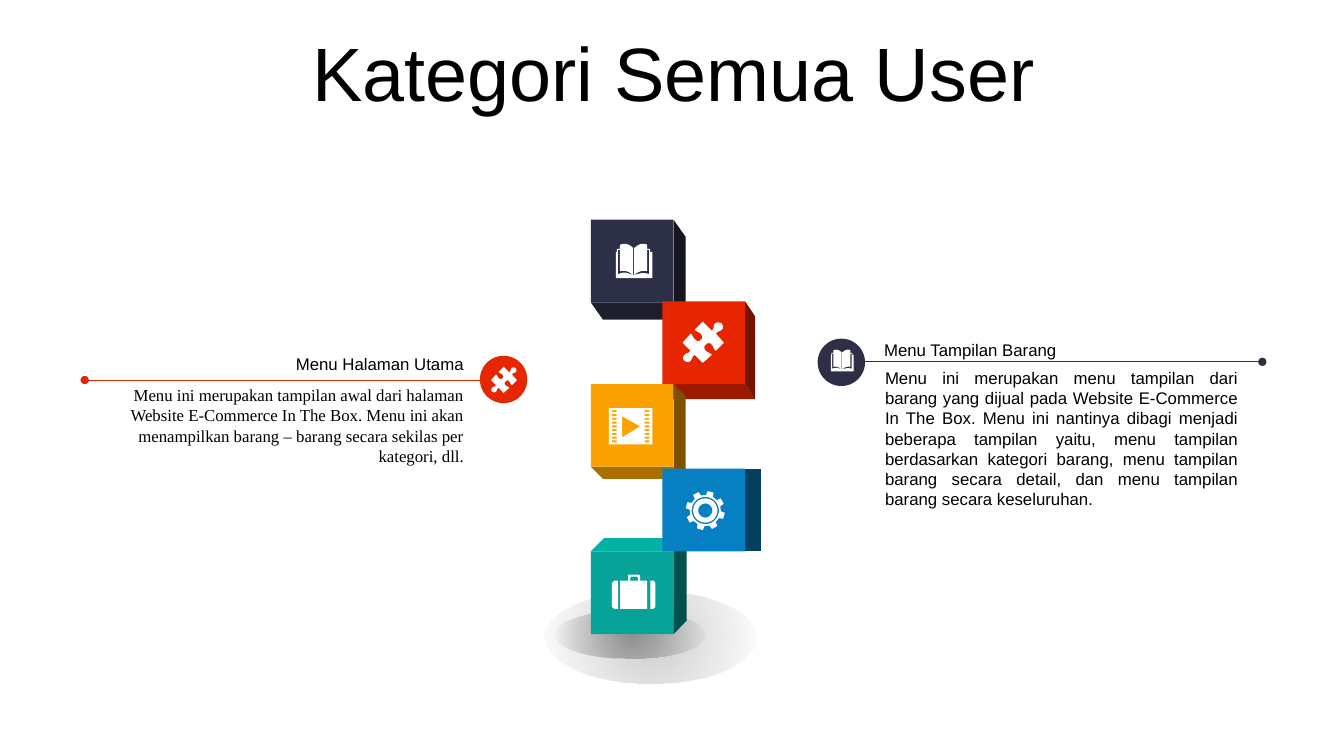
import math
from dataclasses import dataclass

from lxml import etree
from pptx import Presentation
from pptx.dml.color import RGBColor
from pptx.enum import shapes, text
from pptx.oxml import ns, parse_xml
from pptx.util import Inches, Pt

BLACK = RGBColor(0x00, 0x00, 0x00)
WHITE = RGBColor(0xFF, 0xFF, 0xFF)
NAVY = RGBColor(0x2C, 0x2F, 0x45)
NAVY_SIDE = RGBColor(0x15, 0x16, 0x1F)
NAVY_BASE = RGBColor(0x1D, 0x1F, 0x2D)
RED = RGBColor(0xE6, 0x26, 0x01)
RED_SIDE = RGBColor(0x73, 0x13, 0x00)
RED_BASE = RGBColor(0x9B, 0x1A, 0x00)
ORANGE = RGBColor(0xFB, 0xA2, 0x00)
ORANGE_SIDE = RGBColor(0x7D, 0x51, 0x00)
ORANGE_BASE = RGBColor(0xA9, 0x70, 0x00)
BLUE = RGBColor(0x06, 0x80, 0xC3)
BLUE_SIDE = RGBColor(0x03, 0x40, 0x61)
TEAL = RGBColor(0x07, 0xA3, 0x98)
TEAL_SIDE = RGBColor(0x03, 0x51, 0x4C)
TEAL_TOP = RGBColor(0x05, 0xB0, 0xA4)

CUBE_SIZE = 0.82
BADGE_SIZE = 0.47
BADGE_ICON_SCALE = 0.63

Point = tuple[float, float]
Contour = list[Point]


@dataclass
class Cube:
    left: float
    top: float
    depth_x: float
    depth_y: float
    front: RGBColor
    side: RGBColor
    base: RGBColor
    icon: list[Contour]
    icon_left: float
    icon_top: float


@dataclass
class Entry:
    badge_left: float
    badge_top: float
    color: RGBColor
    icon: list[Contour]
    icon_left: float
    icon_top: float
    line_start: float
    line_end: float
    line_y: float
    heading: str
    heading_left: float
    heading_top: float
    body: str
    body_left: float
    body_top: float
    body_height: float
    body_font: str
    heading_align: text.PP_ALIGN
    body_align: text.PP_ALIGN


# Icon outlines, in hundredths of an inch
def trace(commands: str) -> list[Contour]:
    """Turn M, L and C commands into contours, with curves cut into short lines."""
    contours: list[Contour] = []
    for part in commands.replace("M", "|M").replace("L", "|L").replace("C", "|C").split("|")[1:]:
        numbers = [float(number) for number in part[1:].split()]
        points = list(zip(numbers[::2], numbers[1::2]))
        if part[0] == "M":
            contours.append(points)
        elif part[0] == "L":
            contours[-1].extend(points)
        else:
            bend = [contours[-1][-1], *points]
            for step in range(1, 7):
                t = step / 6
                weights = [math.comb(3, k) * t**k * (1 - t) ** (3 - k) for k in range(4)]
                contours[-1].append(tuple(sum(w * p[axis] for w, p in zip(weights, bend))
                                          for axis in (0, 1)))
    return contours


def box_contour(left: float, top: float, width: float, height: float) -> Contour:
    return [(left, top), (left + width, top), (left + width, top + height), (left, top + height)]


def polar(radius: float, degrees: float) -> Point:
    angle = math.radians(degrees)
    return 19.5 + radius * math.cos(angle), 19.5 + radius * math.sin(angle)


PUZZLE = trace(
    "M39 2 C40 4 41 6 39 8 C37 10 35 9 33 12 L41 21 33 29 C30 27 31 24 28 22 "
    "C27 21 24 21 23 23 C21 24 21 27 23 29 C25 31 26 30 29 33 L20 41 12 33 "
    "C9 35 10 36 8 39 C6 41 3 40 2 39 C0 37 0 35 2 33 C3 31 6 32 8 29 L0 21 8 12 "
    "C11 14 10 17 13 18 C14 20 17 20 18 18 C20 17 20 14 18 12 C16 10 15 11 12 8 "
    "L20 0 29 9 C32 6 30 5 32 2 C35 0 37 1 39 2")
BOOK = trace(
    "M17 31 L18 31 C24 29 27 28 33 30 L33 6 31 6 31 27 C27 26 22 27 18 31 L18 4 "
    "C21 2 23 0 26 0 C28 0 30 0 31 1 L31 5 34 5 34 8 36 8 36 34 0 34 0 8 1 8 1 5 4 5 4 1 "
    "C6 0 7 0 9 0 C12 0 15 2 17 4 L17 31 C13 27 8 26 4 27 L4 6 2 6 2 30 C8 27 12 29 17 31")
BRIEFCASE = trace(
    "M38 6 L40 6 C42 6 43 8 43 9 L43 31 C43 33 42 34 40 34 L38 34 "
    "M3 6 L6 6 6 34 3 34 C2 34 0 33 0 31 L0 9 C0 8 2 6 3 6 "
    "M19 2 C19 2 18 3 18 4 L18 6 26 6 26 4 C26 3 25 2 24 2 "
    "M17 0 L26 0 C27 0 28 1 28 2 L28 6 35 6 35 34 8 34 8 6 16 6 16 2 C16 1 16 0 17 0")
FILM = [box_contour(0, 0, 43, 36), [(13, 8), (13, 29), (31, 18)]]
FILM += [box_contour(x, 2 + 3.75 * row, 4.5, 2) for x in (3, 35.5) for row in range(9)]
GEAR = [[polar(radius, 16 + 45 * tooth + turn) for tooth in range(8)
         for radius, turn in ((15.5, -13), (19.5, -9), (19.5, 9), (15.5, 13))]]
GEAR += [[polar(radius, 10 * step) for step in range(36)] for radius in (13.5, 12, 7)]

CUBES = [
    Cube(5.86, 2.18, 0.12, 0.17, NAVY, NAVY_SIDE, NAVY_BASE, BOOK, 6.11, 2.42),
    Cube(6.57, 2.99, 0.10, 0.15, RED, RED_SIDE, RED_BASE, PUZZLE, 6.77, 3.19),
    Cube(5.86, 3.81, 0.12, 0.12, ORANGE, ORANGE_SIDE, ORANGE_BASE, FILM, 6.04, 4.05),
    Cube(5.86, 5.47, 0.13, -0.13, TEAL, TEAL_SIDE, TEAL_TOP, BRIEFCASE, 6.07, 5.70),
    Cube(6.57, 4.65, 0.16, 0, BLUE, BLUE_SIDE, BLUE_SIDE, GEAR, 6.80, 4.87),
]
ENTRIES = [
    Entry(8.11, 3.36, NAVY, BOOK, 8.24, 3.47, 8.58, 12.52, 3.59,
          "Menu Tampilan Barang", 8.67, 3.32,
          "Menu ini merupakan menu tampilan dari barang yang dijual pada Website E-Commerce "
          "In The Box. Menu ini nantinya dibagi menjadi beberapa tampilan yaitu, menu tampilan "
          "berdasarkan kategori barang, menu tampilan barang secara detail, dan menu tampilan "
          "barang secara keseluruhan.",
          8.68, 3.6, 1.51, "Arial", text.PP_ALIGN.LEFT, text.PP_ALIGN.JUSTIFY),
    Entry(4.76, 3.53, RED, PUZZLE, 4.87, 3.64, 4.78, 0.84, 3.77,
          "Menu Halaman Utama", 1, 3.46,
          "Menu ini merupakan tampilan awal dari halaman Website E-Commerce In The Box. Menu ini "
          "akan menampilkan barang – barang secara sekilas per kategori, dll.",
          1, 3.77, 0.91, "Times New Roman", text.PP_ALIGN.RIGHT, text.PP_ALIGN.RIGHT),
]


def paint(shape, color: RGBColor) -> None:
    shape.shadow.inherit = False
    shape.fill.solid()
    shape.fill.fore_color.rgb = color
    shape.line.fill.background()


def draw_shape(page, kind, left: float, top: float, width: float, height: float, color: RGBColor):
    shape = page.shapes.add_shape(kind, Inches(left), Inches(top), Inches(width), Inches(height))
    paint(shape, color)
    return shape


def draw_outline(page, contours: list[Contour], color: RGBColor,
                 left: float = 0, top: float = 0, scale: float = 1) -> None:
    placed = [[(Inches(left + x * scale), Inches(top + y * scale)) for x, y in contour]
              for contour in contours]
    builder = page.shapes.build_freeform(*placed[0][0])
    for index, contour in enumerate(placed):
        if index:
            builder.move_to(*contour[0])
        builder.add_line_segments(contour[1:], close=True)
    paint(builder.convert_to_shape(), color)


def draw_glow(page, left: float, top: float, width: float, height: float, opacity: int) -> None:
    glow = draw_shape(page, shapes.MSO_SHAPE.OVAL, left, top, width, height, BLACK)
    stops = "".join(
        f'<a:gs pos="{pos}000"><a:srgbClr val="808080"><a:alpha val="{alpha}000"/></a:srgbClr></a:gs>'
        for pos, alpha in ((0, opacity), (100, 0)))
    gradient = parse_xml(
        f'<a:gradFill {ns.nsdecls("a")} rotWithShape="1"><a:gsLst>{stops}</a:gsLst><a:path path="circle">'
        '<a:fillToRect l="50000" t="50000" r="50000" b="50000"/></a:path></a:gradFill>')
    properties = glow.element.spPr
    properties.replace(properties.find(ns.qn("a:solidFill")), gradient)


def draw_cube(page, cube: Cube) -> None:
    right, bottom = cube.left + CUBE_SIZE, cube.top + CUBE_SIZE
    dx, dy = cube.depth_x, cube.depth_y
    if dy:
        edge = bottom if dy > 0 else cube.top
        draw_outline(page, [[(cube.left, edge), (right, edge), (right + dx, edge + dy),
                             (cube.left + dx, edge + dy)]], cube.base)
    draw_outline(page, [[(right, cube.top), (right + dx, cube.top + dy),
                         (right + dx, bottom + dy), (right, bottom)]], cube.side)
    draw_shape(page, shapes.MSO_SHAPE.RECTANGLE, cube.left, cube.top, CUBE_SIZE, CUBE_SIZE, cube.front)
    draw_outline(page, cube.icon, WHITE, cube.icon_left, cube.icon_top, 0.01)


def write(frame, words: str, font: str, size: float, align) -> None:
    frame.word_wrap = True
    para = frame.paragraphs[0]
    para.alignment = align
    span = para.add_run()
    span.text = words
    span.font.name, span.font.size, span.font.color.rgb = font, Pt(size), BLACK


def draw_entry(page, entry: Entry) -> None:
    draw_shape(page, shapes.MSO_SHAPE.OVAL, entry.badge_left, entry.badge_top,
               BADGE_SIZE, BADGE_SIZE, entry.color)
    for words, left, top, height, font, align in (
            (entry.body, entry.body_left, entry.body_top, entry.body_height,
             entry.body_font, entry.body_align),
            (entry.heading, entry.heading_left, entry.heading_top, 0.3, "Arial", entry.heading_align)):
        box = page.shapes.add_textbox(Inches(left), Inches(top), Inches(3.7), Inches(height))
        write(box.text_frame, words, font, 12, align)
    rule = page.shapes.add_connector(shapes.MSO_CONNECTOR.STRAIGHT, Inches(entry.line_start),
                                     Inches(entry.line_y), Inches(entry.line_end), Inches(entry.line_y))
    rule.line.color.rgb, rule.line.width = entry.color, Pt(0.5)
    etree.SubElement(rule.line._get_or_add_ln(), ns.qn("a:tailEnd"), type="oval")
    etree.SubElement(rule.element.spPr, ns.qn("a:effectLst"))
    draw_outline(page, entry.icon, WHITE, entry.icon_left, entry.icon_top, 0.01 * BADGE_ICON_SCALE)


def main() -> None:
    deck = Presentation()
    deck.slide_width, deck.slide_height = Inches(13.33), Inches(7.5)
    page = deck.slides.add_slide(deck.slide_layouts[5])

    # Title
    title = page.shapes.title
    title.left, title.top, title.width, title.height = map(Inches, (0.35, 0.37, 12.66, 0.79))
    title.text_frame.vertical_anchor = text.MSO_ANCHOR.MIDDLE
    title.text_frame.auto_size = text.MSO_AUTO_SIZE.NONE
    write(title.text_frame, "Kategori Semua User", "Arial", 54, text.PP_ALIGN.CENTER)
    title.text_frame.paragraphs[0].line_spacing = 0.9

    # Ground shadow, menu entries and the stack of cubes
    draw_glow(page, 5.4, 5.86, 2.1, 0.92, 40)
    draw_glow(page, 5.5, 6.06, 1.5, 0.47, 80)
    for entry in ENTRIES:
        draw_entry(page, entry)
    for cube in CUBES:
        draw_cube(page, cube)
    deck.save("out.pptx")


if __name__ == "__main__":
    main()
